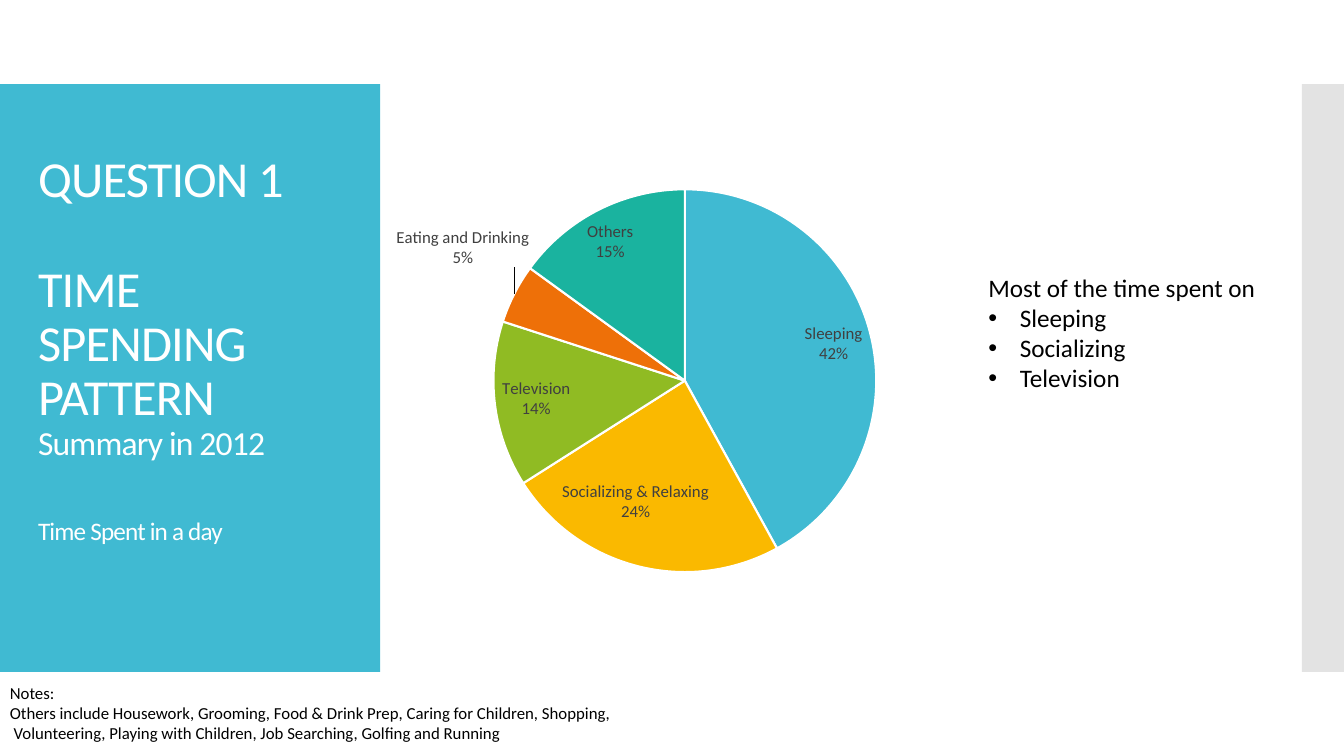
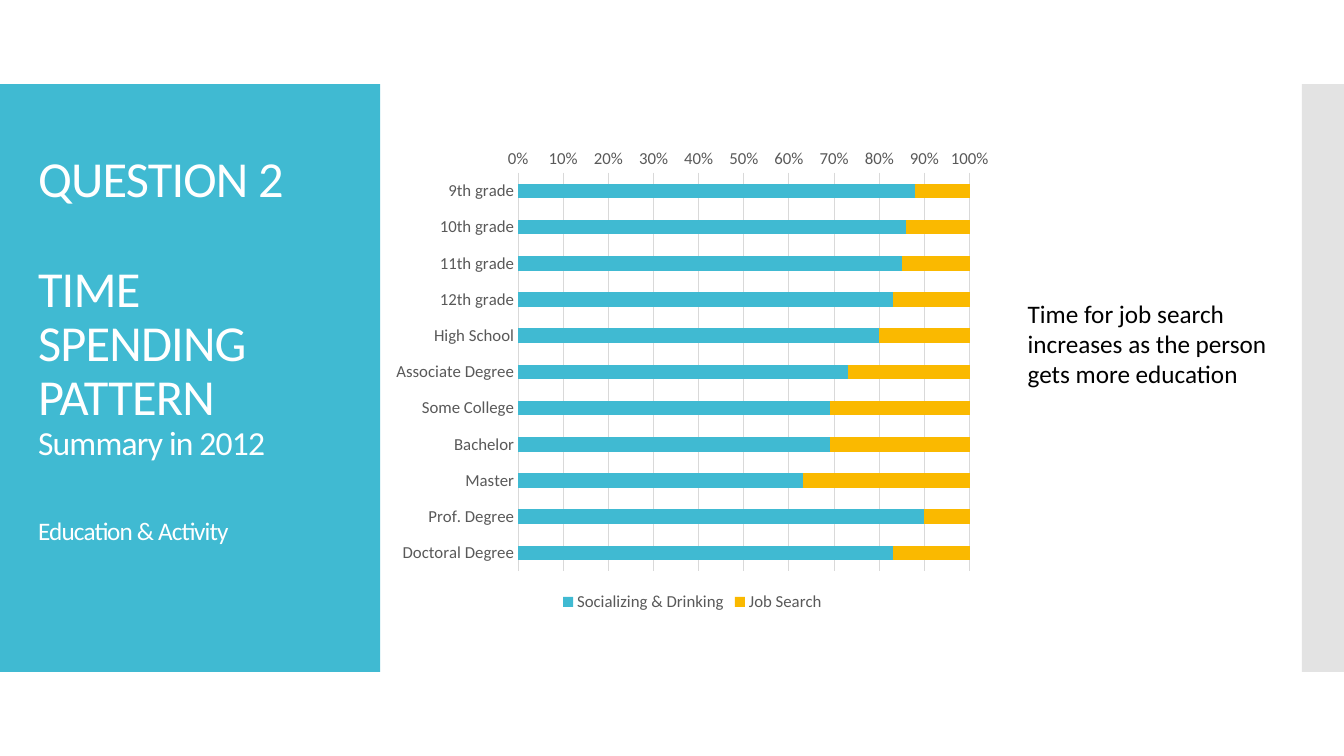
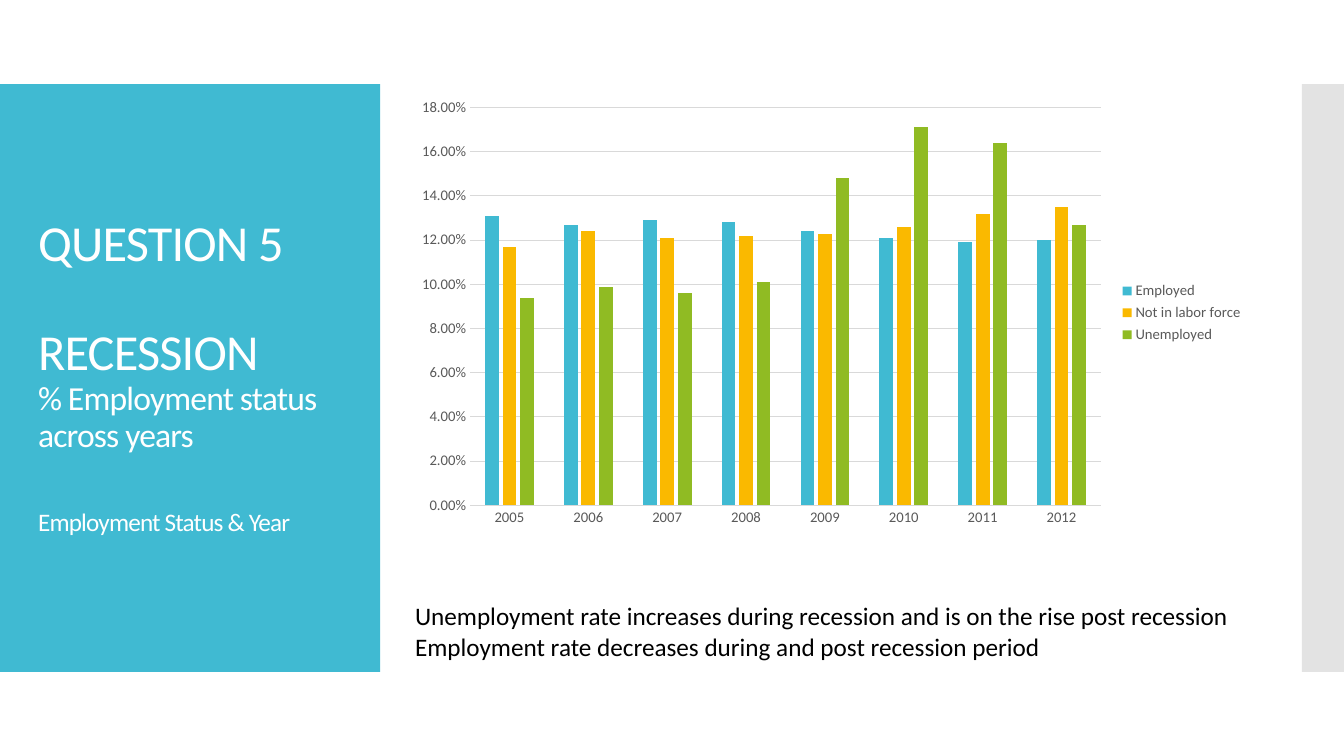
from lxml import etree
from pptx import Presentation
from pptx import util as u
from pptx.chart import data as cd
from pptx.dml import color as dml
from pptx.enum import chart as ce
from pptx.enum import shapes, text
from pptx.oxml import ns, parse_xml

HUES = {
    "blue": "40BAD2", "gold": "FAB900", "green": "90BB23", "orange": "EE7008",
    "teal": "1AB39F", "edge": "C8C8C8", "grid": "D9D9D9", "axis": "595959",
    "label": "404040", "white": "FFFFFF", "black": "000000",
}
FACE = "Calibri"
BLANK_LINE = 39.5
SERIES = ("blue", "gold", "green", "orange", "teal")


def hue(name):
    """Return the named colour."""
    return dml.RGBColor.from_string(HUES[name])


def place(box):
    """Turn a box in centimetres into lengths."""
    return [u.Cm(part) for part in box]


def style(font, size, name):
    """Set face, size and colour of a font."""
    font.name = FACE
    font.size = u.Pt(size)
    font.color.rgb = hue(name)


def band(slide, box, name, alpha=100):
    """Draw a plain filled band."""
    shape = slide.shapes.add_shape(shapes.MSO_SHAPE.RECTANGLE, *place(box))
    shape.shadow.inherit = False
    shape.fill.solid()
    shape.fill.fore_color.rgb = hue(name)
    shape.line.fill.background()
    if alpha < 100:
        tone = shape._element.spPr.find(".//" + ns.qn("a:srgbClr"))
        etree.SubElement(tone, ns.qn("a:alpha")).set("val", str(alpha * 1000))


def heading(slide, box, lines, tail):
    """Write the question, topic, scope and detail in white."""
    frame = slide.shapes.add_textbox(*place(box)).text_frame
    frame.word_wrap = True
    frame.vertical_anchor = text.MSO_ANCHOR.MIDDLE
    frame.margin_bottom = u.Cm(0.13 + tail)
    rules = ((36, 0), (36, BLANK_LINE), (24, 0), (18, BLANK_LINE))
    for i, (line, (size, gap)) in enumerate(zip(lines, rules)):
        para = frame.add_paragraph() if i else frame.paragraphs[0]
        run = para.add_run()
        run.text = line
        run._r.get_or_add_rPr().set("spc", "-60")
        style(para.font, size, "white")
        para.line_spacing = 0.9
        para.space_before = u.Pt(gap)


def base(deck, lines, tail=0):
    """Add a slide with both bands and its heading."""
    slide = deck.slides.add_slide(deck.slide_layouts[6])
    top, high = 2.12, 14.81
    band(slide, (0, top, 9.58, high), "blue")
    band(slide, (32.81, top, 1.06, high), "edge", 50)
    heading(slide, (0.71, top + 1, 8.18, high - 2.03), lines, tail)
    return slide


def note(slide, box, lines, size=18, bullets=()):
    """Write lines of black text, then any bulleted ones."""
    frame = slide.shapes.add_textbox(*place(box)).text_frame
    frame.word_wrap = True
    for i, line in enumerate((*lines, *bullets)):
        para = frame.add_paragraph() if i else frame.paragraphs[0]
        para.text = line
        style(para.font, size, "black")
        if i >= len(lines):
            props = para._p.get_or_add_pPr()
            props.set("marL", str(u.Cm(0.79)))
            props.set("indent", str(-u.Cm(0.79)))
            etree.SubElement(props, ns.qn("a:buFont")).set("typeface", "Arial")
            etree.SubElement(props, ns.qn("a:buChar")).set("char", "•")
            props.append(props.find(ns.qn("a:defRPr")))


def graph(slide, box, kind, cats, rows, size):
    """Add a chart with its data and base font."""
    data = cd.CategoryChartData()
    data.categories = cats
    for name, vals in rows:
        data.add_series(name, vals)
    chart = slide.shapes.add_chart(kind, *place(box), data).chart
    chart.has_title = False
    chart.has_legend = False
    style(chart.font, size, "black")
    return chart


def pie(slide, box, cats, vals):
    """Add a pie with labelled slices, the small one labelled outside."""
    chart = graph(slide, box, ce.XL_CHART_TYPE.PIE, cats,
                  [("Series 1", vals)], 10)
    plot = chart.plots[0]
    plot.vary_by_categories = True
    series = plot.series[0]
    for i, name in enumerate(SERIES):
        form = series.points[i].format
        form.fill.solid()
        form.fill.fore_color.rgb = hue(name)
        form.line.color.rgb = hue("white")
        form.line.width = u.Pt(1.5)
    labels = series.data_labels
    style(labels.font, 12, "label")
    labels.number_format = "0%"
    labels.number_format_is_linked = False
    labels.show_value = False
    labels.show_category_name = True
    labels.show_percentage = True
    labels.position = ce.XL_LABEL_POSITION.BEST_FIT
    root = labels._element
    lead = root.find(ns.qn("c:showLeaderLines"))
    if lead is None:
        lead = etree.SubElement(root, ns.qn("c:showLeaderLines"))
    lead.set("val", "1")
    split = etree.Element(ns.qn("c:separator"))
    split.text = "\n"
    lead.addprevious(split)
    flags = "".join(
        f'<c:show{key} val="{int(key in ("CatName", "Percent"))}"/>'
        for key in ("LegendKey", "Val", "CatName", "SerName", "Percent",
                    "BubbleSize"))
    root.insert(0, parse_xml(
        f'<c:dLbl {ns.nsdecls("c")}><c:idx val="3"/><c:layout>'
        '<c:manualLayout><c:x val="0.03"/><c:y val="-0.05"/>'
        '</c:manualLayout></c:layout><c:dLblPos val="bestFit"/>'
        f'{flags}<c:separator>\n</c:separator></c:dLbl>'))
    area = chart._chartSpace.find(".//" + ns.qn("c:plotArea"))
    for old in area.findall(ns.qn("c:layout")):
        area.remove(old)
    spots = "".join(
        f'<c:{key} val="{val}"/>' for key, val in (
            ("layoutTarget", "inner"), ("xMode", "edge"), ("yMode", "edge"),
            ("x", 0.26), ("y", 0.1), ("w", 0.57), ("h", 0.81)))
    area.insert(0, parse_xml(
        f'<c:layout {ns.nsdecls("c")}><c:manualLayout>{spots}'
        '</c:manualLayout></c:layout>'))


def bars(slide, box, kind, cats, rows, size, gap, lap, side, fmt):
    """Add a bar chart with a legend and pale gridlines."""
    chart = graph(slide, box, kind, cats, rows, size)
    plot = chart.plots[0]
    plot.vary_by_categories = False
    plot.gap_width, plot.overlap = gap, lap
    for series, name in zip(plot.series, SERIES):
        series.format.fill.solid()
        series.format.fill.fore_color.rgb = hue(name)
        series.invert_if_negative = False
    chart.has_legend = True
    chart.legend.position = side
    chart.legend.include_in_layout = False
    style(chart.legend.font, size, "axis")
    cat, val = chart.category_axis, chart.value_axis
    for axis in (cat, val):
        axis.major_tick_mark = axis.minor_tick_mark = ce.XL_TICK_MARK.NONE
        style(axis.tick_labels.font, size, "axis")
    cat.has_major_gridlines = False
    val.has_major_gridlines = True
    for line in (cat.format.line, val.major_gridlines.format.line):
        line.color.rgb = hue("grid")
        line.width = u.Pt(0.75)
    val.format.line.fill.background()
    val.tick_labels.number_format = fmt
    val.tick_labels.number_format_is_linked = False
    return chart


def day(deck):
    """Build the slide on time spent in a day."""
    slide = base(deck, ("QUESTION 1", "TIME SPENDING PATTERN",
                        "Summary in 2012", "Time Spent in a day"), 1.39)
    pie(slide, (8, 3.58, 16.99, 11.91),
        ("Sleeping", "Socializing & Relaxing", "Television",
         "Eating and Drinking", "Others"), (42, 24, 14, 5, 15))
    note(slide, (0, 17.07, 16.13, 1.8), (
        "Notes:",
        "Others include Housework, Grooming, Food & Drink Prep, "
        "Caring for Children, Shopping,",
        " Volunteering, Playing with Children, Job Searching, "
        "Golfing and Running"), 12)
    note(slide, (24.66, 6.73, 7.44, 3.33), ("Most of the time spent on",),
         bullets=("Sleeping", "Socializing", "Television"))


def study(deck):
    """Build the slide on education and activity."""
    slide = base(deck, ("QUESTION 2", "TIME SPENDING PATTERN",
                        "Summary in 2012", "Education & Activity"), 1.39)
    social = (88, 86, 85, 83, 80, 73, 69, 69, 63, 90, 83)
    chart = bars(
        slide, (9.68, 3.51, 15.54, 12.01), ce.XL_CHART_TYPE.BAR_STACKED_100,
        ("9th grade", "10th grade", "11th grade", "12th grade", "High School",
         "Associate Degree", "Some College", "Bachelor", "Master",
         "Prof. Degree", "Doctoral Degree"),
        (("Socializing & Drinking", social),
         ("Job Search", [100 - part for part in social])),
        12, 150, 100, ce.XL_LEGEND_POSITION.BOTTOM, "0%")
    chart.category_axis.reverse_order = True
    note(slide, (25.65, 7.39, 6.73, 2.57),
         ("Time for job search increases as the person gets more education",))


def slump(deck):
    """Build the slide on employment across the recession."""
    slide = base(deck, ("QUESTION 5", "RECESSION",
                        "% Employment status across years",
                        "Employment Status & Year"))
    bars(
        slide, (10.21, 2.26, 21.39, 11.25), ce.XL_CHART_TYPE.COLUMN_CLUSTERED,
        [str(year) for year in range(2005, 2013)],
        (("Employed",
          (0.131, 0.127, 0.129, 0.128, 0.124, 0.121, 0.119, 0.12)),
         ("Not in labor force",
          (0.117, 0.124, 0.121, 0.122, 0.123, 0.126, 0.132, 0.135)),
         ("Unemployed",
          (0.094, 0.099, 0.096, 0.101, 0.148, 0.171, 0.164, 0.127))),
        10.5, 219, -27, ce.XL_LEGEND_POSITION.RIGHT, "0.00%")
    note(slide, (10.21, 15.01, 21.39, 1.8), (
        "Unemployment rate increases during recession and is on the rise "
        "post recession",
        "Employment rate decreases during and post recession period"))


def main():
    """Build and save the deck."""
    deck = Presentation()
    deck.slide_width, deck.slide_height = u.Cm(33.87), u.Cm(19.05)
    for build in (day, study, slump):
        build(deck)
    deck.save("out.pptx")


if __name__ == "__main__":
    main()
